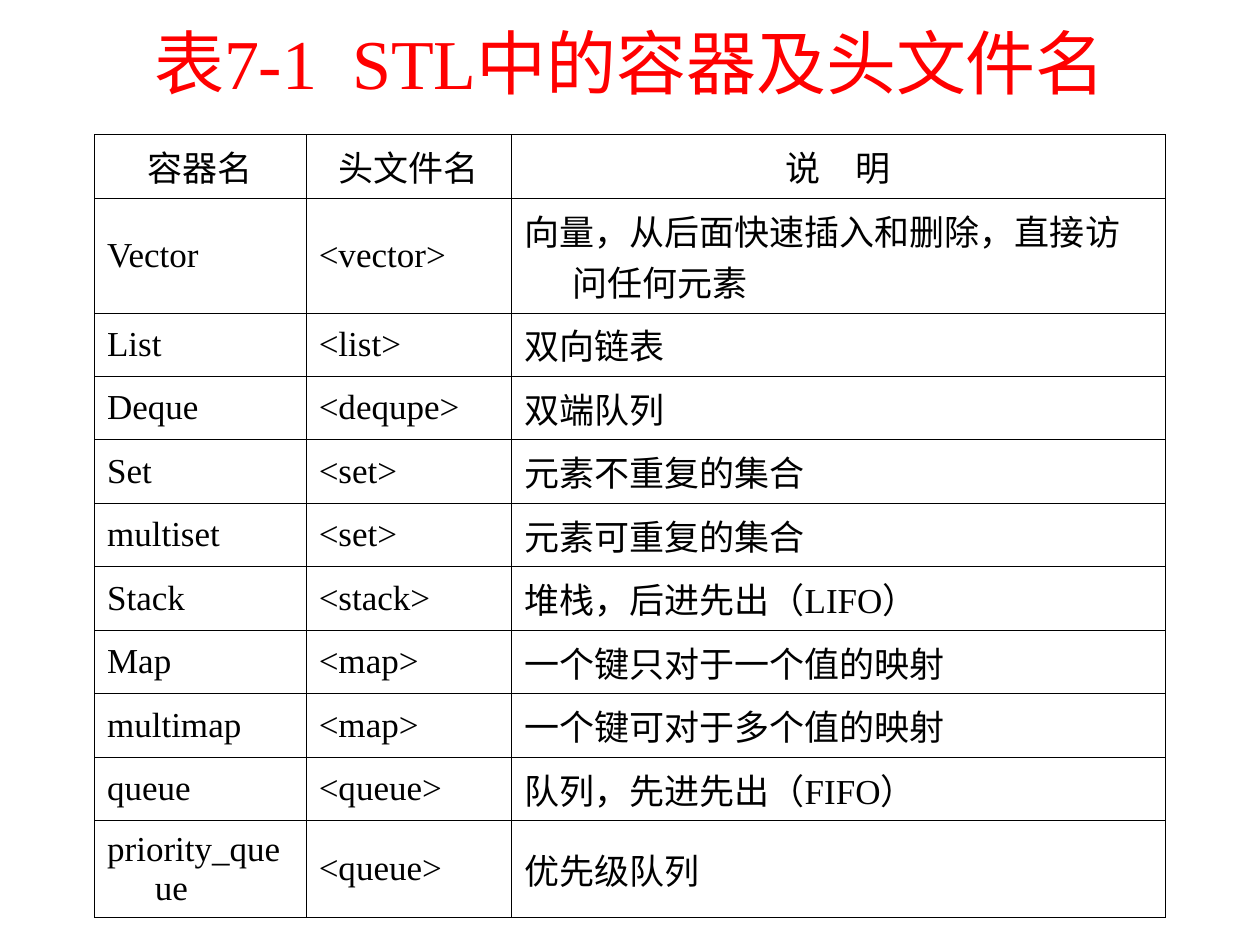
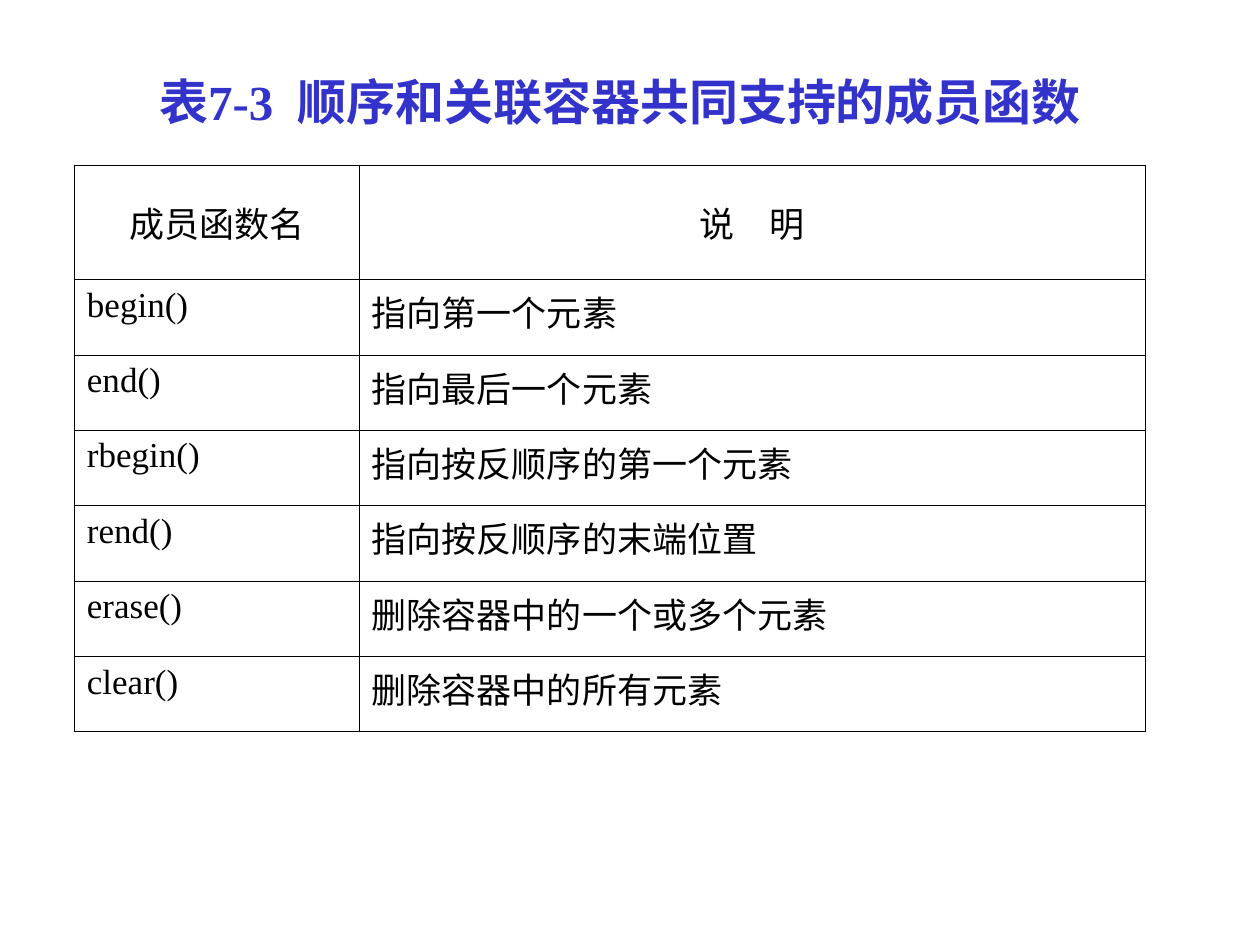
from dataclasses import dataclass

import lxml.etree
import pptx
import pptx.dml.color
import pptx.enum.lang
import pptx.enum.text
import pptx.oxml.ns
import pptx.util

Inches = pptx.util.Inches
ANCHOR = pptx.enum.text.MSO_ANCHOR
ALIGN = pptx.enum.text.PP_ALIGN

BLACK = "000000"
RED = "FF0000"
BLUE = "3333CC"
FONT_FORMAT = {
    "name": "Times New Roman",
    "language_id": pptx.enum.lang.MSO_LANGUAGE_ID.SIMPLIFIED_CHINESE,
}
CELL_SIZE = 20
BORDER_WIDTH = pptx.util.Pt(0.45)
HANGING_INDENT = Inches(0.38)
CONTAINER_ROW_HEIGHT = 4.03 / 8


@dataclass(frozen=True)
class Heading:
    text: str
    left: float
    top: float
    height: float
    size: int
    color: str
    bold: bool = False


@dataclass(frozen=True)
class Listing:
    left: float
    top: float
    column_widths: list[float]
    row_heights: list[float]
    rows: list[tuple[str, ...]]
    body_anchor: ANCHOR


CONTAINER_HEADING = Heading("表7-1  STL中的容器及头文件名", 0.75, 0.29, 0.39, 40, RED)
CONTAINERS = Listing(
    left=0.75,
    top=1.07,
    column_widths=[1.68, 1.63, 5.19],
    row_heights=[CONTAINER_ROW_HEIGHT, 0.91] + [CONTAINER_ROW_HEIGHT] * 8 + [0.77],
    rows=[
        ("容器名", "头文件名", "说　明"),
        ("Vector", "<vector>", "向量，从后面快速插入和删除，直接访问任何元素"),
        ("List", "<list>", "双向链表"),
        ("Deque", "<dequpe>", "双端队列"),
        ("Set", "<set>", "元素不重复的集合"),
        ("multiset", "<set>", "元素可重复的集合"),
        ("Stack", "<stack>", "堆栈，后进先出（LIFO）"),
        ("Map", "<map>", "一个键只对于一个值的映射"),
        ("multimap", "<map>", "一个键可对于多个值的映射"),
        ("queue", "<queue>", "队列，先进先出（FIFO）"),
        ("priority_queue", "<queue>", "优先级队列"),
    ],
    body_anchor=ANCHOR.MIDDLE,
)

FUNCTION_HEADING = Heading(
    "表7-3  顺序和关联容器共同支持的成员函数", 0.67, 0.44, 0.72, 28, BLUE, True
)
FUNCTIONS = Listing(
    left=0.59,
    top=1.31,
    column_widths=[2.26, 6.24],
    row_heights=[0.91] + [3.59 / 6] * 6,
    rows=[
        ("成员函数名", "说　明"),
        ("begin()", "指向第一个元素"),
        ("end()", "指向最后一个元素"),
        ("rbegin()", "指向按反顺序的第一个元素"),
        ("rend()", "指向按反顺序的末端位置"),
        ("erase()", "删除容器中的一个或多个元素"),
        ("clear()", "删除容器中的所有元素"),
    ],
    body_anchor=ANCHOR.TOP,
)


def rgb(color: str) -> pptx.dml.color.RGBColor:
    return pptx.dml.color.RGBColor.from_string(color)


def apply_format(target, values: dict) -> None:
    for attribute, value in values.items():
        setattr(target, attribute, value)


def write_text(paragraph, text: str, size: int, color: str, bold: bool = False) -> None:
    run = paragraph.add_run()
    run.text = text
    apply_format(run.font, {**FONT_FORMAT, "size": pptx.util.Pt(size), "bold": bold})
    run.font.color.rgb = rgb(color)


def draw_heading(slide, heading: Heading) -> None:
    box = slide.shapes.add_textbox(
        Inches(heading.left), Inches(heading.top), Inches(8.5), Inches(heading.height)
    )
    frame = box.text_frame
    apply_format(frame, {"word_wrap": True, "vertical_anchor": ANCHOR.MIDDLE})
    paragraph = frame.paragraphs[0]
    paragraph.alignment = ALIGN.CENTER
    write_text(paragraph, heading.text, heading.size, heading.color, heading.bold)


def draw_borders(cell) -> None:
    qn = pptx.oxml.ns.qn
    properties = cell._tc.get_or_add_tcPr()
    for position, side in enumerate(("lnL", "lnR", "lnT", "lnB")):
        border = lxml.etree.Element(qn(f"a:{side}"), w=str(int(BORDER_WIDTH)))
        fill = lxml.etree.SubElement(border, qn("a:solidFill"))
        lxml.etree.SubElement(fill, qn("a:srgbClr"), val=BLACK)
        properties.insert(position, border)


def draw_listing(slide, listing: Listing) -> None:
    table = slide.shapes.add_table(
        len(listing.rows),
        len(listing.column_widths),
        Inches(listing.left),
        Inches(listing.top),
        Inches(sum(listing.column_widths)),
        Inches(sum(listing.row_heights)),
    ).table
    apply_format(table, {"first_row": False, "horz_banding": False})
    for column, width in zip(table.columns, listing.column_widths):
        column.width = Inches(width)
    for row, height in zip(table.rows, listing.row_heights):
        row.height = Inches(height)
    for row_index, texts in enumerate(listing.rows):
        is_header = row_index == 0
        for column_index, text in enumerate(texts):
            cell = table.cell(row_index, column_index)
            cell.fill.background()
            cell.vertical_anchor = ANCHOR.MIDDLE if is_header else listing.body_anchor
            draw_borders(cell)
            paragraph = cell.text_frame.paragraphs[0]
            paragraph.alignment = ALIGN.CENTER if is_header else ALIGN.LEFT
            indents = paragraph._p.get_or_add_pPr()
            indents.set("marL", str(int(HANGING_INDENT)))
            indents.set("indent", str(-int(HANGING_INDENT)))
            write_text(paragraph, text, CELL_SIZE, BLACK)


def main() -> None:
    deck = pptx.Presentation()
    apply_format(deck, {"slide_width": Inches(10), "slide_height": Inches(7.5)})
    for heading, listing in (
        (CONTAINER_HEADING, CONTAINERS),
        (FUNCTION_HEADING, FUNCTIONS),
    ):
        slide = deck.slides.add_slide(deck.slide_layouts[6])
        draw_heading(slide, heading)
        draw_listing(slide, listing)
    deck.save("out.pptx")


if __name__ == "__main__":
    main()
